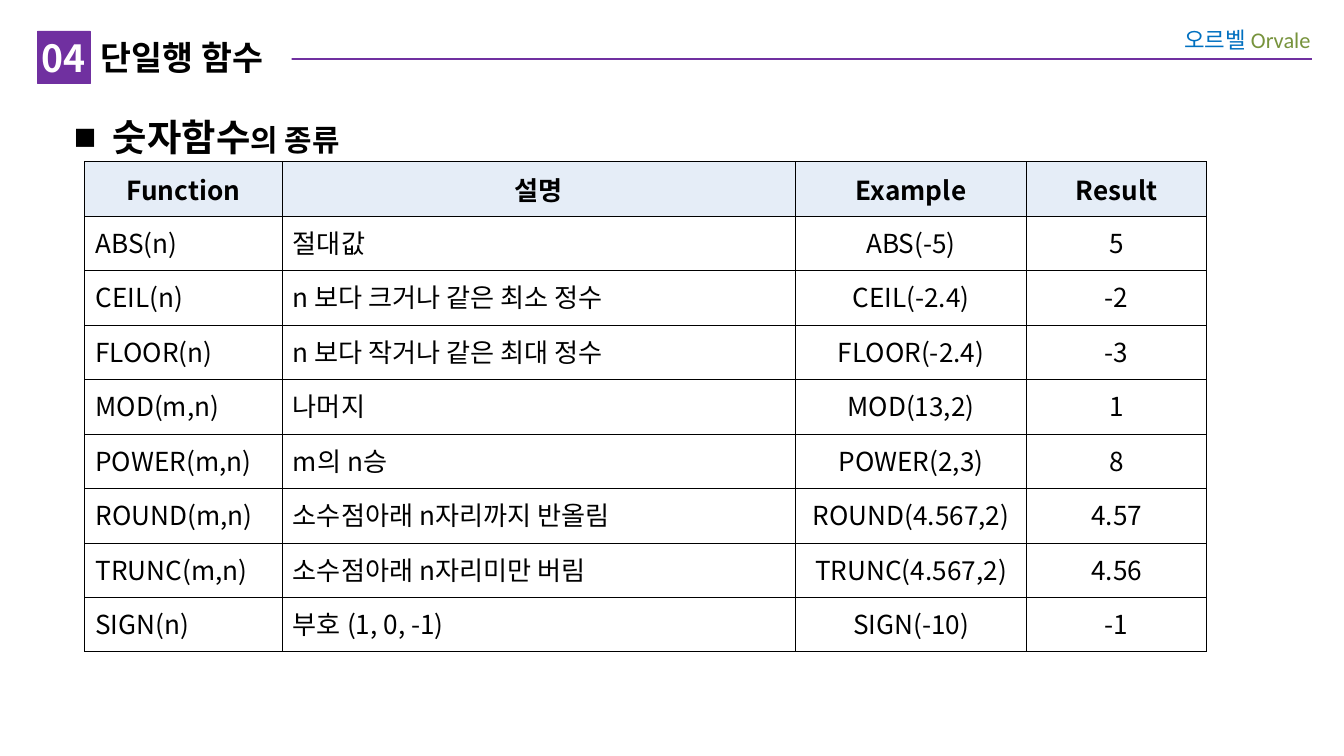
"""Build the slide that lists the single-row number functions."""
from lxml.etree import SubElement as Sub
from pptx import Presentation
from pptx.dml.color import RGBColor as Rgb
from pptx.enum.shapes import MSO_CONNECTOR as Wire, MSO_SHAPE as Form
from pptx.enum.text import MSO_ANCHOR as Anchor, MSO_AUTO_SIZE as Auto, PP_ALIGN as Align
from pptx.oxml.ns import qn
from pptx.util import Inches, Pt

theme = {
    "purple": "7030A0", "blue": "0070C0", "green": "77933C",
    "head": "E5EDF7", "white": "FFFFFF", "black": "000000",
    "sans": "Noto Sans CJK KR", "label": "Calibri",
    "big": 20, "title": 18, "sub": 16, "cell": 14, "small": 12,
}

deck = Presentation()
deck.slide_width, deck.slide_height = Inches(10), Inches(5.625)
col, row = deck.slide_width / 100, deck.slide_height / 100


def area(x, y, w, h):
    return [int(n) for n in (x * col, y * row, w * col, h * row)]


def write(frame, parts, face="sans", bold=True, pad=(0, 0, 0, 0), **form):
    sides = ("margin_left", "margin_top", "margin_right", "margin_bottom")
    for key, val in zip(sides, pad):
        setattr(frame, key, Inches(val))
    para = frame.paragraphs[0]
    for key, val in form.items():
        setattr(para, key, val)
    for text, size, tone in parts:
        run = para.add_run()
        run.text = text
        look = {"name": theme[face], "size": Pt(theme[size]), "bold": bold}
        for key, val in look.items():
            setattr(run.font, key, val)
        run.font.color.rgb = Rgb.from_string(theme[tone])
        Sub(run._r.get_or_add_rPr(), qn("a:ea"), typeface=theme[face])
    return para


slide = deck.slides.add_slide(deck.slide_layouts[1])
shapes = slide.shapes
title, body = slide.placeholders
places = [(title, (6.7, 4.1, 15, 6.8)), (body, (4.3, 12.1, 80.4, 8.4))]
for item, place in places:
    item.left, item.top, item.width, item.height = area(*place)
    item.text_frame.auto_size = Auto.NONE
    item.text_frame.word_wrap = True

title.fill.solid()
title.fill.fore_color.rgb = Rgb.from_string(theme["white"])
title.text_frame.vertical_anchor = Anchor.TOP
write(title.text_frame, [("단일행 함수", "title", "black")],
      pad=(0.08, 0.04, 0, 0.04), alignment=Align.LEFT)

lead = write(body.text_frame, [("숫자함수", "big", "black"), ("의 종류", "sub", "black")],
             pad=(0.12, 0, 0.1, 0.05), line_spacing=1.5, space_before=Pt(0))
props = lead._p.get_or_add_pPr()
for key, val in {"marL": 0.29, "indent": -0.29}.items():
    props.set(key, str(int(Inches(val))))
Sub(Sub(props, qn("a:buClr")), qn("a:srgbClr"), val=theme["black"])
Sub(props, qn("a:buChar"), char="■")

left, top, wide, _ = area(7.1, 7.8, 90.5, 0)
rule = shapes.add_connector(Wire.STRAIGHT, left + wide, top, left, top)
rule.line.width = Pt(1.5)
rule.line.color.rgb = Rgb.from_string(theme["purple"])
Sub(rule._element.spPr, qn("a:effectLst"))
title._element.addprevious(rule._element)

label = shapes.add_textbox(*area(83.1, 2, 15.4, 6.4))
label.text_frame.word_wrap = True
write(label.text_frame, [("오르벨 ", "small", "blue"), ("Orvale", "small", "green")],
      face="label", bold=False, pad=(0.1, 0.08, 0.1, 0.08), alignment=Align.RIGHT)

badge = shapes.add_shape(Form.RECTANGLE, *area(2.8, 4.1, 3.9, 6.9))
badge.shadow.inherit = False
badge.fill.solid()
badge.fill.fore_color.rgb = badge.line.color.rgb = Rgb.from_string(theme["purple"])
badge.line.width = Pt(0.25)
badge.text_frame.vertical_anchor = Anchor.MIDDLE
write(badge.text_frame, [("04", "big", "white")],
      alignment=Align.CENTER, space_before=Pt(5))

data = [
    ("Function", "설명", "Example", "Result"),
    ("ABS(n)", "절대값", "ABS(-5)", "5"),
    ("CEIL(n)", "n 보다 크거나 같은 최소 정수", "CEIL(-2.4)", "-2"),
    ("FLOOR(n)", "n 보다 작거나 같은 최대 정수", "FLOOR(-2.4)", "-3"),
    ("MOD(m,n)", "나머지", "MOD(13,2)", "1"),
    ("POWER(m,n)", "m의 n승", "POWER(2,3)", "8"),
    ("ROUND(m,n)", "소수점아래 n자리까지 반올림", "ROUND(4.567,2)", "4.57"),
    ("TRUNC(m,n)", "소수점아래 n자리미만 버림", "TRUNC(4.567,2)", "4.56"),
    ("SIGN(n)", "부호 (1, 0, -1)", "SIGN(-10)", "-1"),
]
grid = shapes.add_table(len(data), 4, *area(6.3, 21.35, 83.5, 64.9)).table
grid.horz_banding = False
for part, share in zip(grid.columns, (14.7, 38.2, 17.2, 13.4)):
    part.width = int(share * col)
for i, line in enumerate(data):
    for j, text in enumerate(line):
        cell, head = grid.cell(i, j), i == 0
        for side in ("lnL", "lnR", "lnT", "lnB"):
            edge = Sub(cell._tc.get_or_add_tcPr(), qn("a:" + side), w=str(int(Pt(0.45))))
            Sub(Sub(edge, qn("a:solidFill")), qn("a:srgbClr"), val=theme["black"])
        cell.fill.solid()
        cell.fill.fore_color.rgb = Rgb.from_string(theme["head" if head else "white"])
        cell.vertical_anchor = Anchor.MIDDLE if head else Anchor.TOP
        write(cell.text_frame, [(text, "cell", "black")], bold=head,
              alignment=Align.CENTER if head or j > 1 else Align.LEFT,
              space_before=Pt(3.5))
        for key, val in {"left": 0.08, "top": 0.05, "right": 0.08, "bottom": 0.05}.items():
            setattr(cell, "margin_" + key, Inches(val))

deck.save("out.pptx")
